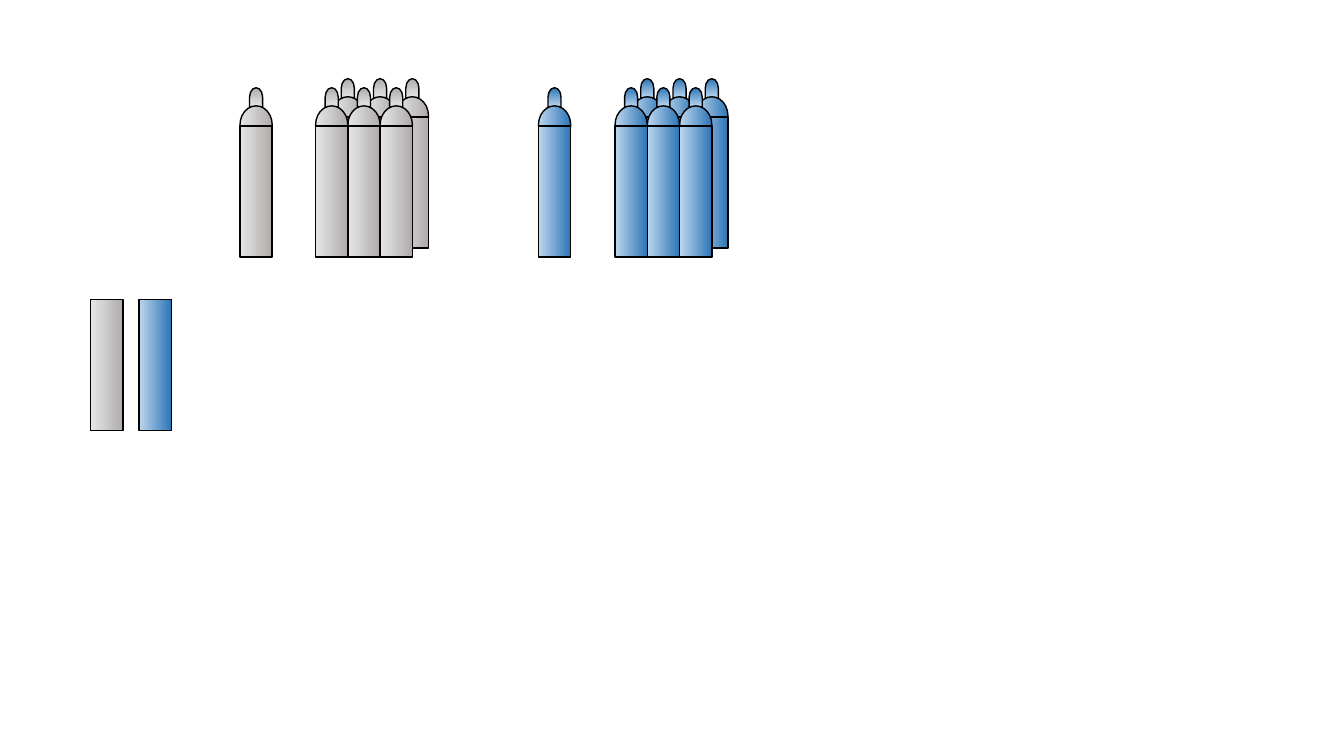
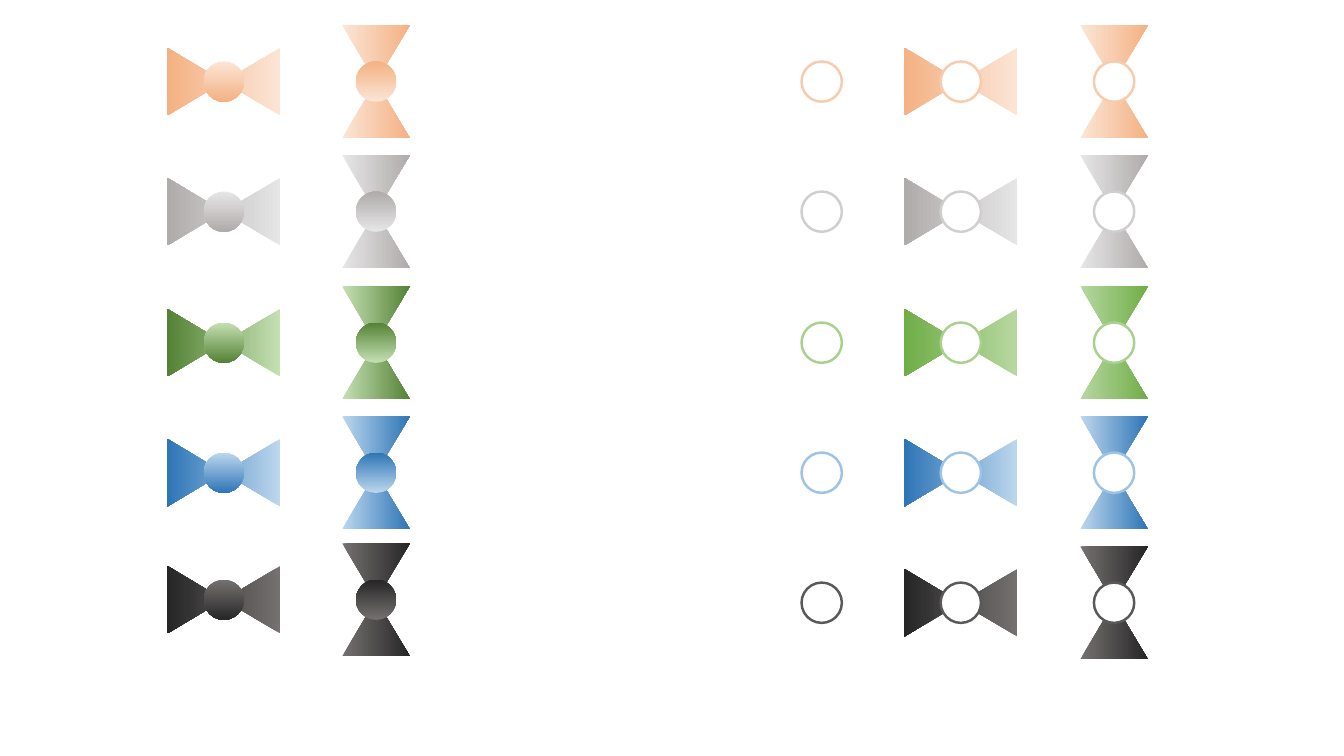
"""Builds two slides of technical symbols: gas cylinders and valves."""
from pptx import Presentation
from pptx.dml.color import RGBColor
from pptx.enum.shapes import MSO_SHAPE
from pptx.util import Inches, Pt

SLIDE_SIZE = (13.33, 7.5)
BLACK, WHITE = "000000", "FFFFFF"
GREY = ("E7E6E6", "AFABAB")
BLUE = ("BDD7EE", "2E75B6")
ORANGE = ("FBE5D6", "F4B183")
DARK_GREEN = ("C5E0B4", "548235")
GREEN = ("B7D8A1", "70AD47")
CHARCOAL = ("767171", "262626")

BODY = (0.32, 1.3)
SHOULDER = (0.32, 0.38)
CAP = (0.19, 0.13)
CAP_RISE, BODY_DROP = 0.15, 0.2
CYLINDER_TOP = 1.05
BACK_SHIFT = (0.16, -0.09)
BUNDLE_COLUMNS = 3
CYLINDERS = [
    {"gas": GREY, "single": 2.38, "bundle": 3.13, "loose_body": 0.9},
    {"gas": BLUE, "single": 5.34, "bundle": 6.1, "loose_body": 1.38},
]
LOOSE_BODY_TOP = 2.97

COLLATE = (0.67, 1.12)
BALL = 0.4
FILLED_VALVES = [
    (0.25, ORANGE), (1.54, GREY), (2.84, DARK_GREEN), (4.13, BLUE), (5.39, CHARCOAL),
]
RINGED_VALVES = [
    (0.25, ORANGE, "F8CBAD"), (1.54, GREY, "D0CECE"), (2.84, GREEN, "A9D18E"),
    (4.13, BLUE, "9DC3E6"), (5.42, CHARCOAL, "595959"),
]
FILLED_CENTRES = {"horizontal": 2.22, "vertical": 3.73}
RINGED_CENTRES = {"horizontal": 9.53, "vertical": 11.05}
RING_CENTRE = 8.15
DIRECTIONS = {
    "horizontal": {"rotation": 90, "collate_angle": 270, "ball_angle": 270},
    "vertical": {"rotation": 0, "collate_angle": 0, "ball_angle": 90},
}


def rgb(value):
    """Turn a hex string into a colour."""
    return RGBColor.from_string(value)


def draw(shapes, kind, left, top, size, fill, angle=0, line=None, weight=1, rotation=0):
    """Add a preset shape with a plain or a two-colour gradient fill."""
    symbol = shapes.add_shape(kind, *map(Inches, (left, top, *size)))
    symbol.shadow.inherit = False
    symbol.rotation = rotation
    if isinstance(fill, str):
        symbol.fill.solid()
        symbol.fill.fore_color.rgb = rgb(fill)
    else:
        symbol.fill.gradient()
        symbol.fill.gradient_angle = angle
        for stop, shade in zip(symbol.fill.gradient_stops, fill):
            stop.color.rgb = rgb(shade)
    if line:
        symbol.line.color.rgb = rgb(line)
        symbol.line.width = Pt(weight)
    else:
        symbol.line.fill.background()


def draw_body(shapes, left, top, gas):
    """Add the straight wall of a cylinder."""
    draw(shapes, MSO_SHAPE.RECTANGLE, left, top, BODY, gas, line=BLACK)


def draw_cylinder(shapes, left, top, gas):
    """Stack cap, shoulder and body."""
    cap_left = left + (BODY[0] - CAP[0]) / 2
    draw(shapes, MSO_SHAPE.FLOWCHART_DELAY, cap_left, top - CAP_RISE, CAP, gas,
         line=BLACK, rotation=270)
    draw(shapes, MSO_SHAPE.OVAL, left, top, SHOULDER, gas, line=BLACK)
    draw_body(shapes, left, top + BODY_DROP, gas)


def draw_bundle(shapes, left, top, gas):
    """Set a front row of cylinders before a shifted back row."""
    columns = [left + column * BODY[0] for column in range(BUNDLE_COLUMNS)]
    for column in columns:
        draw_cylinder(shapes, column + BACK_SHIFT[0], top + BACK_SHIFT[1], gas)
    for column in reversed(columns):
        draw_cylinder(shapes, column, top, gas)


def draw_ball(shapes, centre, middle, fill, angle=0, ring=None):
    """Add a circle around a centre point."""
    draw(shapes, MSO_SHAPE.OVAL, centre - BALL / 2, middle - BALL / 2, (BALL, BALL),
         fill, angle, ring, 1.75)


def draw_valves(shapes, centres, top, shades, ring=None):
    """Add one row of valves, a group for each direction."""
    middle = top + COLLATE[1] / 2
    for direction, centre in centres.items():
        turn = DIRECTIONS[direction]
        valve = shapes.add_group_shape().shapes
        draw(valve, MSO_SHAPE.FLOWCHART_COLLATE, centre - COLLATE[0] / 2, top, COLLATE,
             shades, turn["collate_angle"], rotation=turn["rotation"])
        draw_ball(valve, centre, middle, WHITE if ring else shades, turn["ball_angle"], ring)


def build_cylinders(shapes):
    """Fill the slide of gas cylinders."""
    for supply in CYLINDERS:
        gas = supply["gas"]
        draw_cylinder(shapes.add_group_shape().shapes, supply["single"], CYLINDER_TOP, gas)
        draw_bundle(shapes.add_group_shape().shapes, supply["bundle"], CYLINDER_TOP, gas)
        draw_body(shapes, supply["loose_body"], LOOSE_BODY_TOP, gas)


def build_valves(shapes):
    """Fill the slide of valves."""
    for top, shades in FILLED_VALVES:
        draw_valves(shapes, FILLED_CENTRES, top, shades)
    for top, shades, ring in RINGED_VALVES:
        draw_ball(shapes, RING_CENTRE, top + COLLATE[1] / 2, WHITE, ring=ring)
        draw_valves(shapes, RINGED_CENTRES, top, shades, ring)


def main():
    """Build and save the deck."""
    deck = Presentation()
    deck.slide_width, deck.slide_height = map(Inches, SLIDE_SIZE)
    for build in (build_cylinders, build_valves):
        build(deck.slides.add_slide(deck.slide_layouts[6]).shapes)
    deck.save("out.pptx")


if __name__ == "__main__":
    main()
